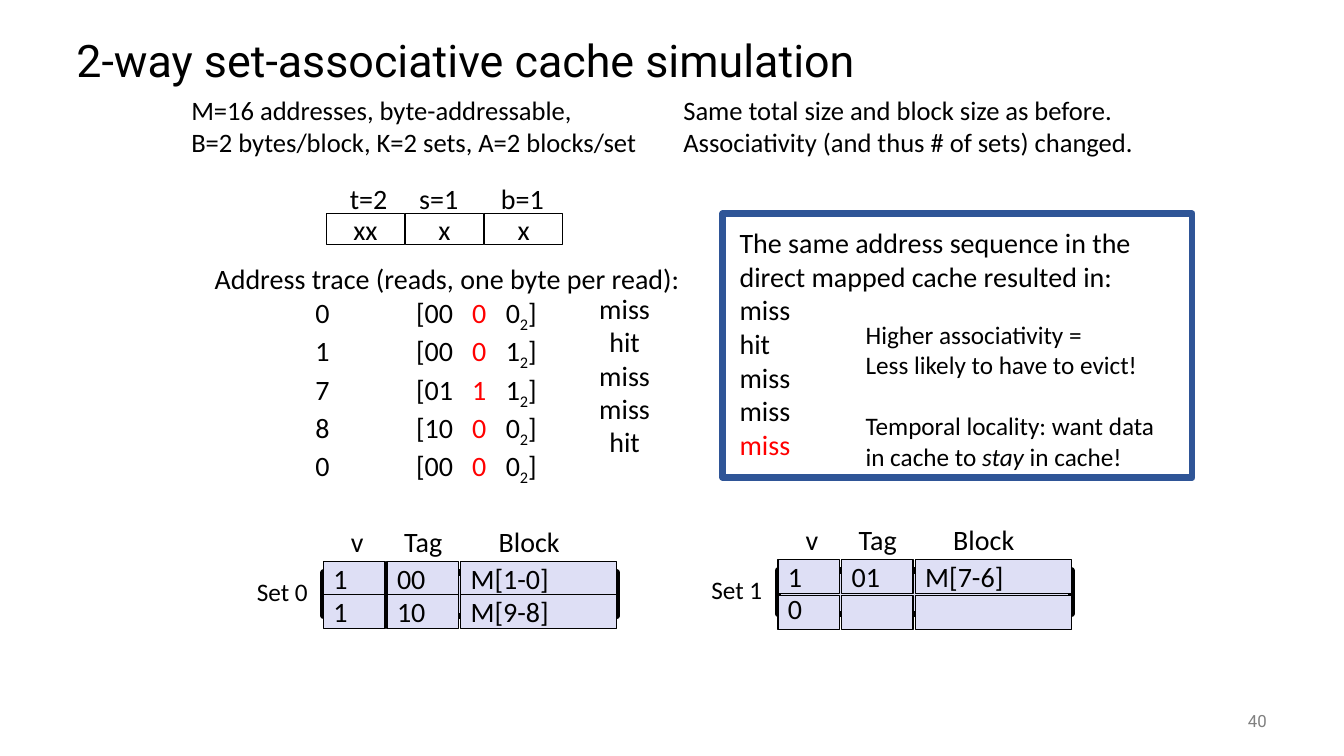
from lxml import etree
from pptx import Presentation
from pptx.dml.color import RGBColor
from pptx.enum.shapes import MSO_SHAPE
from pptx.enum.text import MSO_ANCHOR, PP_ALIGN
from pptx.oxml.ns import qn
from pptx.util import Pt

RECT = MSO_SHAPE.RECTANGLE
TOP, MIDDLE = MSO_ANCHOR.TOP, MSO_ANCHOR.MIDDLE
LEFT, CENTER, RIGHT = PP_ALIGN.LEFT, PP_ALIGN.CENTER, PP_ALIGN.RIGHT
BLACK = RGBColor(0x00, 0x00, 0x00)
WHITE = RGBColor(0xFF, 0xFF, 0xFF)
RED = RGBColor(0xFF, 0x00, 0x00)
GRAY = RGBColor(0x80, 0x80, 0x80)
BLUE = RGBColor(0x2F, 0x55, 0x97)
LILAC = RGBColor(0xDE, 0xDF, 0xF5)
TRACE = [("0", "00", "0", "0"), ("1", "00", "0", "1"), ("7", "01", "1", "1"),
         ("8", "10", "0", "0"), ("0", "00", "0", "0")]


def style(para, size=20, color=BLACK, face="Calibri", align=LEFT, space=None):
    para.alignment = align
    if space:
        para.line_spacing = space
    para.font.size = Pt(size)
    para.font.name = face
    para.font.color.rgb = color


def fill_text(shape, lines, anchor=TOP, wrap=False, **look):
    """Write each line as one paragraph and return the paragraphs."""
    frame = shape.text_frame
    frame.word_wrap = wrap
    frame.vertical_anchor = anchor
    paras = []
    for num, line in enumerate(lines):
        para = frame.add_paragraph() if num else frame.paragraphs[0]
        para.text = line
        style(para, **look)
        paras.append(para)
    return paras


def add_text(slide, box, lines, **look):
    shape = slide.shapes.add_textbox(*map(Pt, box))
    return fill_text(shape, lines, **look)


def add_rect(slide, box, fill, line=BLACK, width=1):
    shape = slide.shapes.add_shape(RECT, *map(Pt, box))
    shape.shadow.inherit = False
    if fill is None:
        shape.fill.background()
    else:
        shape.fill.solid()
        shape.fill.fore_color.rgb = fill
    shape.line.color.rgb = line
    shape.line.width = Pt(width)
    return shape


def set_tabs(para, stops):
    tabs = etree.SubElement(para._p.get_or_add_pPr(), qn("a:tabLst"))
    for stop in stops:
        etree.SubElement(tabs, qn("a:tab"), pos=str(Pt(stop)), algn="l")


def add_run(para, text):
    run = para.add_run()
    run.text = text
    return run


def add_fields(slide, x, y):
    """Address fields: tag, set and block offset bits."""
    labels = [("t=2", 9.5), ("s=1", 59), ("b=1", 117.5)]
    for num, bits in enumerate(["xx", "x", "x"]):
        cell = add_rect(slide, (x + 56.5 * num, y, 55.5, 22), WHITE)
        fill_text(cell, [bits], anchor=MIDDLE, align=CENTER)
    for text, shift in labels:
        add_text(slide, (x + shift, y - 26.5, 45, 31), [text])


def add_trace(slide, x, y):
    shape = slide.shapes.add_textbox(Pt(x), Pt(y), Pt(360), Pt(153))
    fill_text(shape, ["Address trace (reads, one byte per read):"], wrap=True)
    for address, tag, index, offset in TRACE:
        para = shape.text_frame.add_paragraph()
        set_tabs(para, [72, 144, 184, 208])
        style(para)
        add_run(para, f"\t{address}\t[{tag}\t")
        add_run(para, index).font.color.rgb = RED
        add_run(para, f"\t{offset}")
        add_run(para, "2").font._element.set("baseline", "-25000")
        add_run(para, "]")
    for num, text in enumerate(["miss", "hit", "miss", "miss", "hit"]):
        add_text(slide, (x + 274, y + 28.6 + 23.8 * num, 52, 24.5), [text],
                 align=CENTER, space=0.65)


def add_result(slide, x, y, w, h):
    """Outcome of the direct mapped cache, with the lesson beside it."""
    intro = "The same address sequence in the\vdirect mapped cache resulted in:"
    paras = add_text(slide, (x + 5, y + 5, w - 11, h - 12),
                     [intro, "miss", "hit", "miss", "miss", "miss"], wrap=True)
    paras[-1].font.color.rgb = RED
    paras = add_text(slide, (x + 95, y + 72, 228, 117),
                     ["Higher associativity =", "Less likely to have to evict!",
                      "Temporal locality: want data\vin cache to "], size=18)
    last = paras[-1]
    last.space_before = Pt(22)
    add_run(last, "stay").font.italic = True
    add_run(last, " in cache!")
    add_rect(slide, (x, y, w, h), None, BLUE, 4.5)


def add_set(slide, x, y, name, pitch, rows):
    """One cache set: a header, a heavy frame and its rows of cells."""
    add_rect(slide, (x, y + 8, 209.5, 31), LILAC, BLACK, 4.5)
    for text, shift in [("v", 12.5), ("Tag", 50.5), ("Block", 118)]:
        add_text(slide, (x + shift, y - 30, 60, 31), [text])
    columns = [(0, 44), (45.4, 51), (98, 111.5)]
    for num, row in enumerate(rows):
        for text, (shift, w) in zip(row, columns):
            cell = add_rect(slide, (x + shift, y + pitch * num, w, 24.2), LILAC)
            if text:
                space = 0.65 if text == "0" else None
                fill_text(cell, [text], anchor=MIDDLE, space=space)
    add_text(slide, (x - 54.7, y + 7, 52, 29), [name], size=18)


def main():
    deck = Presentation()
    deck.slide_width, deck.slide_height = Pt(960), Pt(540)
    slide = deck.slides.add_slide(deck.slide_layouts[6])
    add_text(slide, (47.5, 18, 864, 54), ["2-way set-associative cache simulation"],
             anchor=MIDDLE, wrap=True, size=32, face="Roboto", space=0.9)
    add_text(slide, (129.6, 63.4, 344, 53),
             ["M=16 addresses, byte-addressable,",
              "B=2 bytes/block, K=2 sets, A=2 blocks/set"], size=19)
    add_text(slide, (481, 63.4, 348, 53),
             ["Same total size and block size as before.",
              "Associativity (and thus # of sets) changed."], size=19)
    add_fields(slide, 233.3, 152.6)
    add_trace(slide, 146.2, 183.6)
    add_result(slide, 516.2, 152.6, 335.5, 188.6)
    add_set(slide, 231.1, 401, "Set 0", 23.8,
            [("1", "00", "M[1-0]"), ("1", "10", "M[9-8]")])
    add_set(slide, 555.8, 399.6, "Set 1", 25.9,
            [("1", "01", "M[7-6]"), ("0", "", "")])
    add_text(slide, (840, 500.4, 72, 29), ["40"], anchor=MIDDLE, wrap=True,
             size=12, face="Roboto", color=GRAY, align=RIGHT)
    deck.save("out.pptx")


if __name__ == "__main__":
    main()
